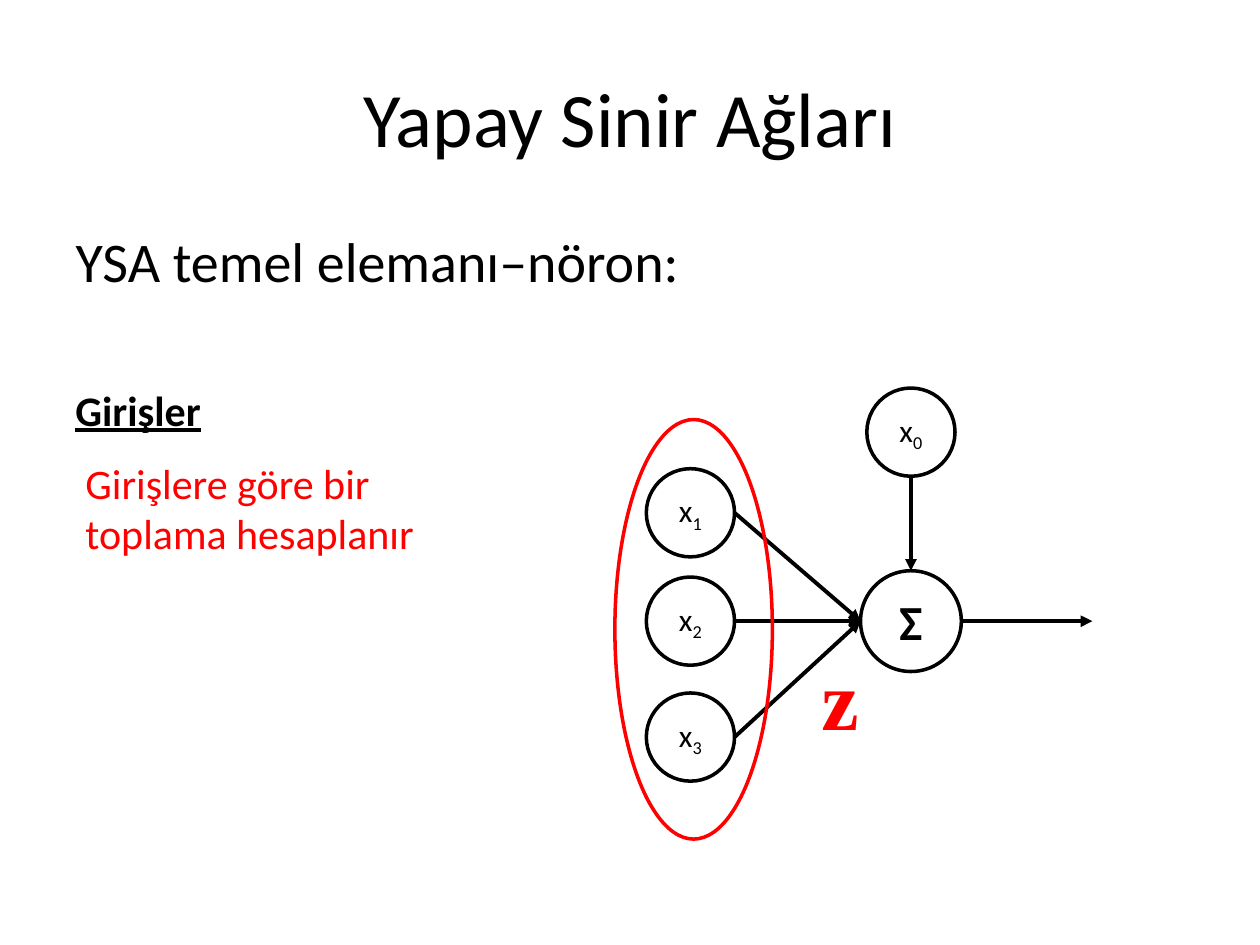
from lxml import etree
from pptx import Presentation
from pptx.dml.color import RGBColor
from pptx.enum.shapes import MSO_CONNECTOR, MSO_SHAPE
from pptx.enum.text import MSO_ANCHOR, MSO_AUTO_SIZE, PP_ALIGN
from pptx.oxml.ns import qn
from pptx.util import Inches, Pt

OVAL = MSO_SHAPE.OVAL
LINE = MSO_CONNECTOR.STRAIGHT
LEFT, CENTER = PP_ALIGN.LEFT, PP_ALIGN.CENTER
TOP, MIDDLE = MSO_ANCHOR.TOP, MSO_ANCHOR.MIDDLE
BLACK, WHITE, RED = "000000", "FFFFFF", "FF0000"

# Content
TITLE = "Yapay Sinir Ağları"
LEAD = "YSA temel elemanı–nöron:"
NOTES = [  # text, box, wrap, style
    ("Girişlere göre bir toplama hesaplanır", (0.58, 3.58, 3.5, 0.91), True,
     dict(size=24, color=RED)),
    ("Girişler", (0.5, 3, 1.21, 0.5), False,
     dict(size=24, bold=True, under=True)),
    ("z", (6.42, 5.08, 0.5, 0.91), False,
     dict(size=48, color=RED, bold=True, face="Times New Roman")),
]
# Neuron: centres and diameters
SUM, SUM_D = (7.23, 4.93), 0.8
NODE_D = 0.7
INPUTS = [("1", 4.07), ("2", 4.93), ("3", 5.85)]
INPUT_X = 5.48
BIAS = (SUM[0], 3.43)
OUT_X = 8.67
RING = (4.88, 3.33, 1.25, 3.33)


def rgb(code):
    return RGBColor.from_string(code)


def add_run(para, text, size, color=BLACK, bold=False, under=False,
            face="Calibri", base=None):
    run = para.add_run()
    run.text = text
    font = run.font
    font.name, font.size = face, Pt(size)
    font.bold, font.underline = bold, under
    font.color.rgb = rgb(color)
    if base:
        run._r.get_or_add_rPr().set("baseline", str(base * 1000))


def place(shape, box):
    shape.left, shape.top, shape.width, shape.height = map(Inches, box)


def set_frame(shape, align, anchor, wrap=True):
    frame = shape.text_frame
    frame.word_wrap = wrap
    frame.vertical_anchor = anchor
    para = frame.paragraphs[0]
    para.alignment = align
    return para


def add_oval(box, color=BLACK, fill=None):
    oval = slide.shapes.add_shape(OVAL, *map(Inches, box))
    oval.shadow.inherit = False
    if fill:
        oval.fill.solid()
        oval.fill.fore_color.rgb = rgb(fill)
    else:
        oval.fill.background()
    oval.line.color.rgb = rgb(color)
    oval.line.width = Pt(2)
    return oval


def add_node(mid, size):
    x, y = mid
    oval = add_oval((x - size / 2, y - size / 2, size, size), fill=WHITE)
    return set_frame(oval, CENTER, MIDDLE)


def add_input(mid, sub):
    para = add_node(mid, NODE_D)
    add_run(para, "x", 18)
    add_run(para, sub, 18, base=-25)


def add_arrow(start, end):
    line = slide.shapes.add_connector(LINE, *map(Inches, start + end))
    line.line.color.rgb = rgb(BLACK)
    line.line.width = Pt(2.25)
    tail = etree.SubElement(line.line._get_or_add_ln(), qn("a:tailEnd"))
    tail.set("type", "triangle")
    etree.SubElement(line._element.spPr, qn("a:effectLst"))


deck = Presentation()
deck.slide_width, deck.slide_height = Inches(10), Inches(7.5)
slide = deck.slides.add_slide(deck.slide_layouts[1])

# Title and lead line
title, body = slide.placeholders
place(title, (0.5, 0.3, 9, 1.25))
add_run(set_frame(title, CENTER, MIDDLE), TITLE, 44)
place(body, (0.5, 1.75, 9, 4.95))
lead = set_frame(body, LEFT, TOP)
props = lead._p.get_or_add_pPr()
props.set("marL", str(Inches(0.38)))
props.set("indent", str(Inches(-0.38)))
etree.SubElement(props, qn("a:buNone"))
lead.space_before = Pt(0)
add_run(lead, LEAD, 32)

# Summing node and arrows
add_run(add_node(SUM, SUM_D), "Σ", 28, bold=True)
sum_x, sum_y = SUM
half, rad = SUM_D / 2, NODE_D / 2
add_arrow((BIAS[0], BIAS[1] + rad), (sum_x, sum_y - half))
for sub, y in INPUTS:
    add_arrow((INPUT_X + rad, y), (sum_x - half, sum_y))
add_arrow((sum_x + half, sum_y), (OUT_X, sum_y))

# Input nodes and the ring round them
for sub, y in INPUTS:
    add_input((INPUT_X, y), sub)
add_input(BIAS, "0")
add_oval(RING, RED)

# Labels
for text, box, wrap, style in NOTES:
    label = slide.shapes.add_textbox(*map(Inches, box))
    add_run(set_frame(label, LEFT, TOP, wrap), text, **style)
    label.text_frame.auto_size = MSO_AUTO_SIZE.SHAPE_TO_FIT_TEXT

deck.save("out.pptx")
